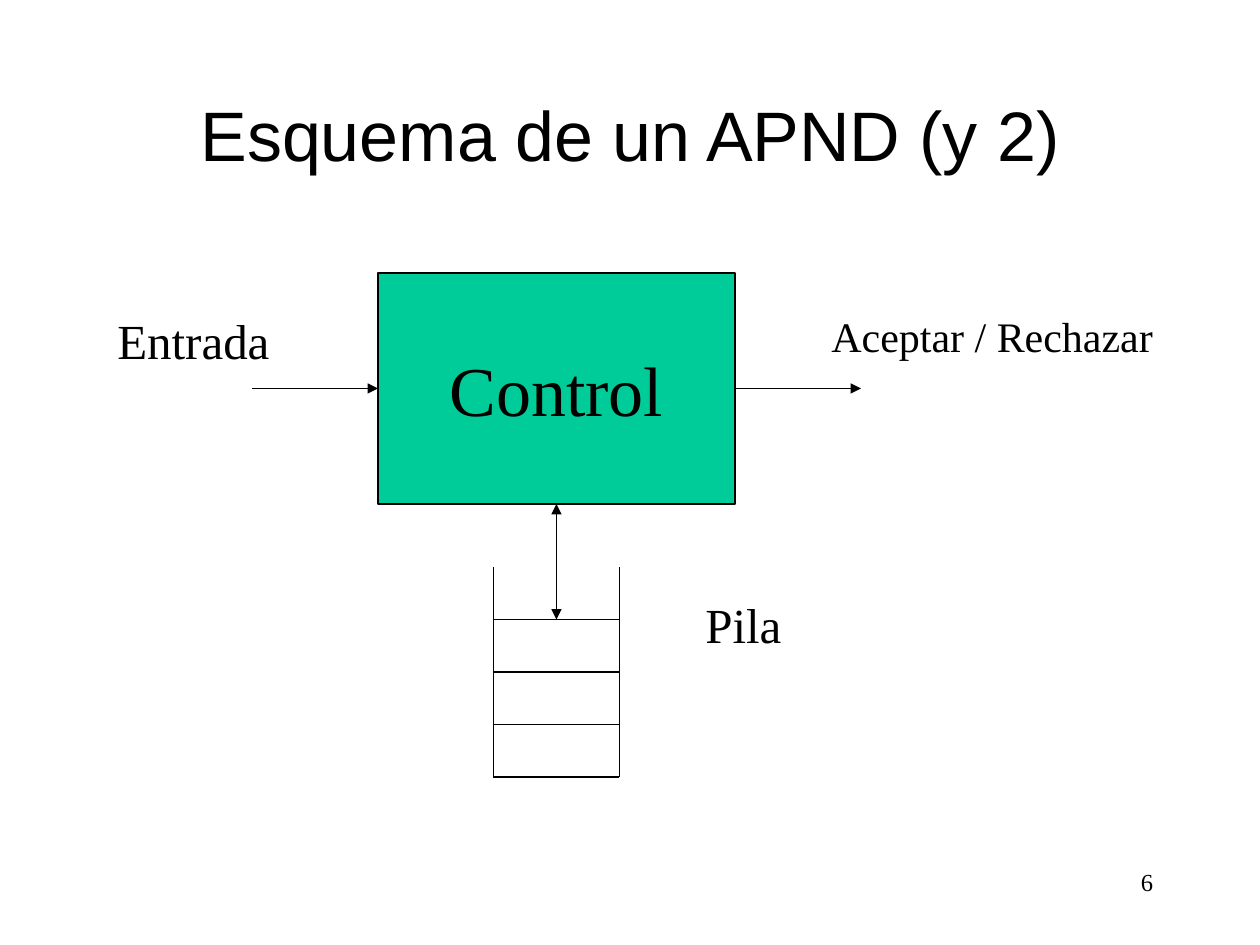
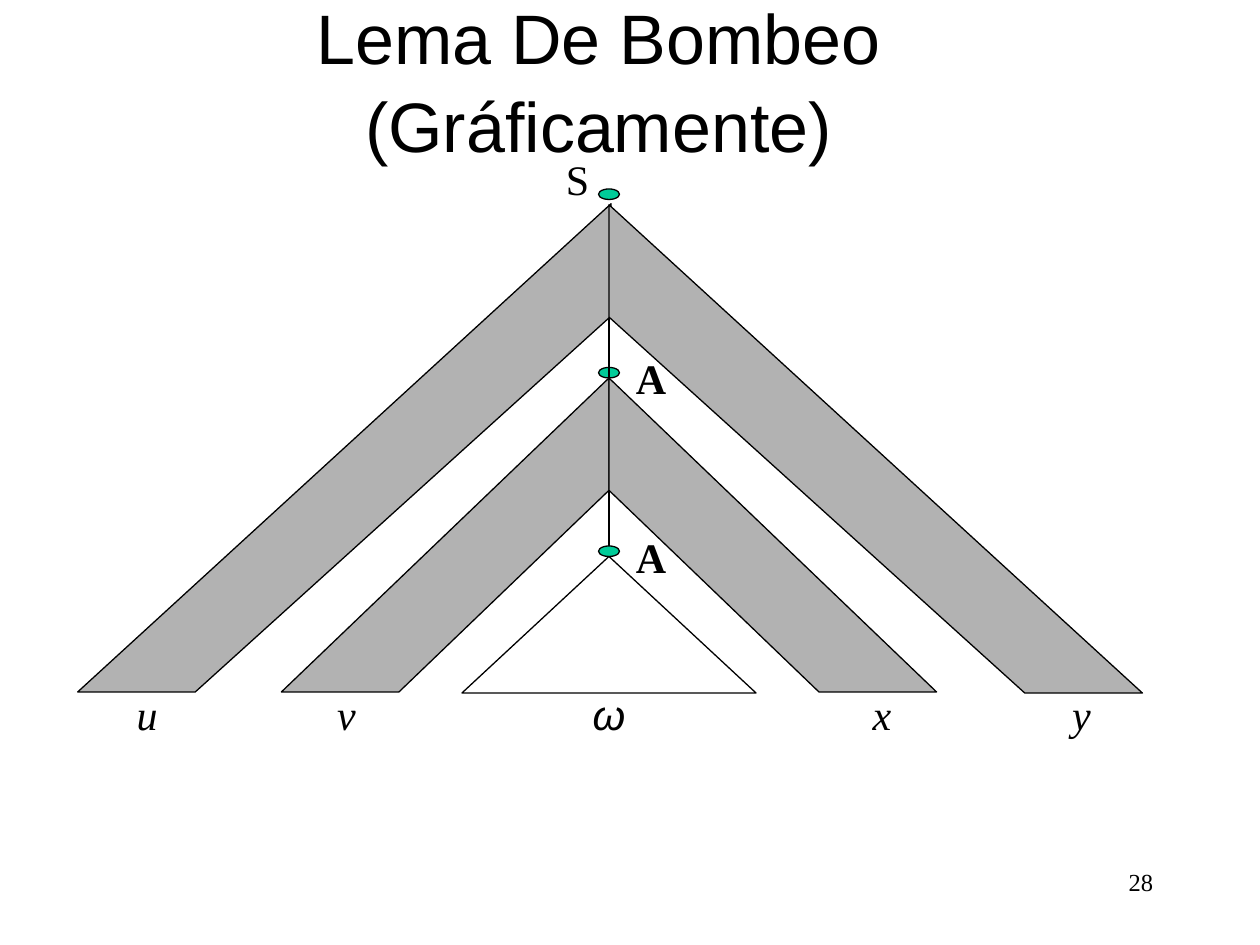
from lxml import etree
from pptx import Presentation
from pptx.dml.color import RGBColor
from pptx.enum.shapes import MSO_CONNECTOR, MSO_SHAPE
from pptx.enum.text import MSO_ANCHOR, PP_ALIGN
from pptx.oxml.ns import qn
from pptx.util import Pt

PX = 7620  # EMU per px, 120 px to the inch
LEFT, CENTER, RIGHT = PP_ALIGN.LEFT, PP_ALIGN.CENTER, PP_ALIGN.RIGHT
TOP, MIDDLE = MSO_ANCHOR.TOP, MSO_ANCHOR.MIDDLE
RECT, OVAL, TRIANGLE = MSO_SHAPE.RECTANGLE, MSO_SHAPE.OVAL, MSO_SHAPE.ISOSCELES_TRIANGLE
STRAIGHT = MSO_CONNECTOR.STRAIGHT

BLACK, WHITE, GREEN, GRAY = "000000", "FFFFFF", "00CC99", "B2B2B2"
SANS, SERIF = "Arial", "Times New Roman"
LINE_PT = 0.75

# Slide 1: pushdown automaton
CONTROL = (360, 260, 340, 220)
AUTOMATON_LABELS = [  # text, left, top, width, height, size
    ("Entrada", 100, 290, 190, 68, 28),
    ("Aceptar / Rechazar", 780, 290, 350, 60, 24),
    ("Pila", 660, 560, 190, 68, 28),
]
ARROW = 120
STACK_LEFT, STACK_RIGHT, STACK_TOP, STACK_BOTTOM = 470, 590, 540, 740
CELL, CELLS = 50, 3

# Slide 2: derivation tree
AXIS = 580
NODES_Y = [180, 350, 520]
NODE_W, NODE_H = 20, 10
BAND_DROP, BAND_FOOT = 107, 112
BANDS = [  # apex x, apex y, side, reach, height
    (AXIS, 360, -1, 312, 299),
    (AXIS + 2, 194, -1, 508, 465),
    (AXIS, 195, 1, 508, 465),
    (AXIS, 360, 1, 312, 299),
]
NODE_LABELS = [("S", 490, 140, False), ("A", 560, 330, True), ("A", 560, 500, True)]
LEAVES = [("u", 70, SERIF), ("v", 260, SERIF), ("ω", 510, SANS),
          ("x", 770, SERIF), ("y", 960, SERIF)]
LEAVES_Y = 650


def rgb(color):
    return RGBColor.from_string(color)


def px(*lengths):
    return [round(n * PX) for n in lengths]


def write(sp, text, size, font=SERIF, align=LEFT, anchor=TOP, wrap=True,
          bold=False, italic=False):
    tf = sp.text_frame
    tf.word_wrap = wrap
    tf.vertical_anchor = anchor
    p = tf.paragraphs[0]
    p.alignment = align
    r = p.add_run()
    r.text = text
    r.font.name, r.font.size = font, Pt(size)
    r.font.bold, r.font.italic = bold, italic
    r.font.color.rgb = rgb(BLACK)
    return p


def add_text(s, box, text, size, **style):
    return write(s.shapes.add_textbox(*px(*box)), text, size, **style)


def paint(sp, fill):
    sp.shadow.inherit = False
    sp.fill.solid()
    sp.fill.fore_color.rgb = rgb(fill)
    sp.line.color.rgb = rgb(BLACK)
    sp.line.width = Pt(LINE_PT)
    return sp


def add_shape(s, kind, box, fill):
    return paint(s.shapes.add_shape(kind, *px(*box)), fill)


def add_line(s, x1, y1, x2, y2, ends=()):
    """Draw a line; ends may hold headEnd and tailEnd for arrowheads."""
    c = s.shapes.add_connector(STRAIGHT, *px(x1, y1, x2, y2))
    c.line.color.rgb = rgb(BLACK)
    c.line.width = Pt(LINE_PT)
    ln = c.line._get_or_add_ln()
    for end in ends:
        etree.SubElement(ln, qn(f"a:{end}"), type="triangle")
    etree.SubElement(c._element.spPr, qn("a:effectLst"))


def add_band(s, x, y, side, reach, height):
    """Draw a slanted band from the apex down to its foot on one side."""
    foot = y + height
    outer = x + side * reach
    fb = s.shapes.build_freeform(outer - side * BAND_FOOT, foot, scale=PX)
    fb.add_line_segments([(outer, foot), (x, y), (x, y + BAND_DROP)], close=True)
    paint(fb.convert_to_shape(), GRAY)


def add_slide(prs, title, left, top, number):
    s = prs.slides.add_slide(prs.slide_layouts[6])
    p = add_text(s, (left, top, 1020, 150), title, 40, font=SANS,
                 align=CENTER, anchor=MIDDLE)
    p.line_spacing = 1.05
    add_text(s, (860, 820, 250, 60), number, 14, align=RIGHT)
    return s


def build_automaton(prs):
    s = add_slide(prs, "Esquema de un APND (y 2)", 90, 50, "6")
    left, top, width, height = CONTROL
    right, bottom = left + width, top + height
    mid_x, mid_y = left + width // 2, top + height // 2
    write(add_shape(s, RECT, CONTROL, GREEN), "Control", 40,
          align=CENTER, anchor=MIDDLE, wrap=False)
    for text, *box, size in AUTOMATON_LABELS:
        add_text(s, box, text, size)
    for x in (left - ARROW, right):
        add_line(s, x, mid_y, x + ARROW, mid_y, ["tailEnd"])
    for x in (STACK_LEFT, STACK_RIGHT):
        add_line(s, x, STACK_TOP, x, STACK_BOTTOM)
    for i in range(CELLS + 1):
        y = STACK_BOTTOM - i * CELL
        add_line(s, STACK_LEFT, y, STACK_RIGHT, y)
    add_line(s, mid_x, bottom, mid_x, STACK_BOTTOM - CELLS * CELL,
             ["headEnd", "tailEnd"])


def build_pumping_lemma(prs):
    s = add_slide(prs, "Lema De Bombeo (Gráficamente)", 60, 0, "28")
    for y in NODES_Y:
        add_shape(s, OVAL, (AXIS - NODE_W // 2, y, NODE_W, NODE_H), GREEN)
    add_line(s, AXIS, 200, AXIS, NODES_Y[-1])
    add_shape(s, TRIANGLE, (440, 530, 280, 130), WHITE)
    for band in BANDS:
        add_band(s, *band)
    for text, x, y, bold in NODE_LABELS:
        add_text(s, (x, y, 120, 60), text, 24, align=CENTER, bold=bold)
    for text, x, font in LEAVES:
        add_text(s, (x, LEAVES_Y, 140, 60), text, 24, font=font,
                 align=CENTER, italic=True)


def main():
    prs = Presentation()
    prs.slide_width, prs.slide_height = px(1200, 900)
    build_automaton(prs)
    build_pumping_lemma(prs)
    prs.save("out.pptx")


if __name__ == "__main__":
    main()
